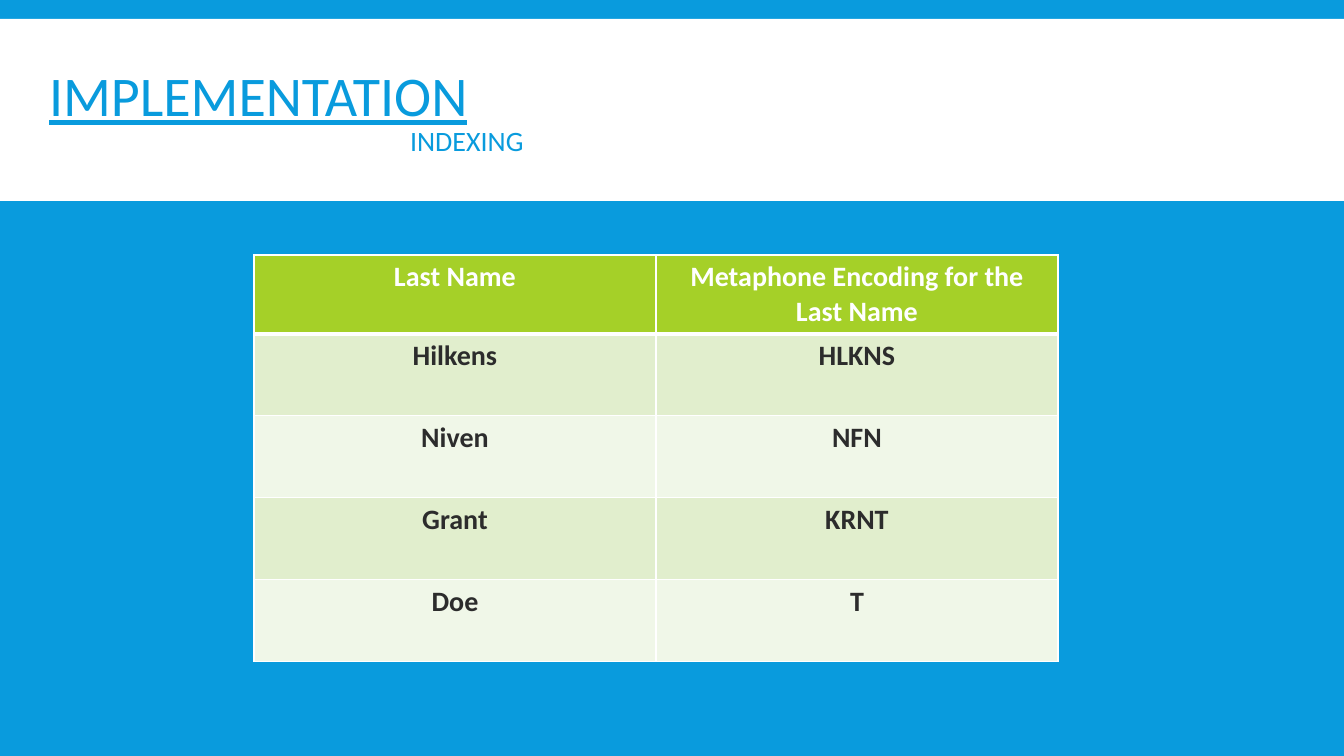
import pptx
import pptx.dml.color
import pptx.enum.shapes
import pptx.enum.text
import pptx.oxml
import pptx.oxml.ns
import pptx.util

EMU_PER_PX = 914400 / 100.8
BLUE, WHITE, GREEN, DARK = "099BDD", "FFFFFF", "A5D028", "2C2C2C"
BANDS = ("E1EECD", "F0F7E8")
ROWS = (
    ("Last Name", "Metaphone Encoding for the Last Name"),
    ("Hilkens", "HLKNS"),
    ("Niven", "NFN"),
    ("Grant", "KRNT"),
    ("Doe", "T"),
)


def px(length):
    """Turn pixels into EMU."""
    return pptx.util.Emu(round(length * EMU_PER_PX))


def color(value):
    """Turn a hex string into a colour."""
    return pptx.dml.color.RGBColor.from_string(value)


def paint(fill, value):
    """Give a fill one solid colour."""
    fill.solid()
    fill.fore_color.rgb = color(value)


def write(paragraph, text, size=20, ink=DARK, bold=False, underline=False,
          align=pptx.enum.text.PP_ALIGN.LEFT, spacing=1.0, indent=0):
    """Write one formatted run into a paragraph."""
    paragraph.alignment = align
    paragraph.line_spacing = spacing
    paragraph.space_before = paragraph.space_after = pptx.util.Pt(0)
    if indent:
        paragraph._p.get_or_add_pPr().set("marL", str(px(indent)))
    run = paragraph.add_run()
    run.text = text
    font = run.font
    font.name, font.size = "Calibri", pptx.util.Pt(size)
    font.bold, font.underline = bold, underline
    font.color.rgb = color(ink)


def add_band(slide, left, top, width, height):
    """Put a plain white band behind everything else."""
    band = slide.shapes.add_shape(pptx.enum.shapes.MSO_SHAPE.RECTANGLE,
                                  px(left), px(top), px(width), px(height))
    band.shadow.inherit = False
    paint(band.fill, WHITE)
    band.line.fill.background()
    slide.shapes._spTree.insert(2, band._element)


def format_title(title, left, top, width, height):
    """Place the title and write its heading and subheading."""
    title.left, title.top = px(left), px(top)
    title.width, title.height = px(width), px(height)
    frame = title.text_frame
    frame.word_wrap = True
    frame.auto_size = pptx.enum.text.MSO_AUTO_SIZE.NONE
    frame.vertical_anchor = pptx.enum.text.MSO_ANCHOR.MIDDLE
    write(frame.paragraphs[0], "IMPLEMENTATION", size=40, ink=BLUE,
          underline=True, spacing=0.85)
    write(frame.add_paragraph(), "INDEXING", ink=BLUE, spacing=0.85, indent=361)


def set_borders(cell, **widths):
    """Draw white cell borders with widths in points."""
    properties = cell._tc.get_or_add_tcPr()
    for position, side in enumerate("LRTB"):
        width = pptx.util.Pt(widths.get(side, 1))
        properties.insert(position, pptx.oxml.parse_xml(
            f'<a:ln{side} {pptx.oxml.ns.nsdecls("a")} w="{width}"><a:solidFill>'
            f'<a:srgbClr val="{WHITE}"/></a:solidFill></a:ln{side}>'))


def add_name_table(slide, left, top, column_width, header_height, row_height):
    """Add the table of names and their encodings."""
    body_count = len(ROWS) - 1
    table = slide.shapes.add_table(
        len(ROWS), len(ROWS[0]), px(left), px(top), px(column_width * len(ROWS[0])),
        px(header_height + row_height * body_count)).table
    for column in table.columns:
        column.width = px(column_width)
    for index, texts in enumerate(ROWS):
        header = index == 0
        table.rows[index].height = px(header_height if header else row_height)
        for cell, text in zip(table.rows[index].cells, texts):
            paint(cell.fill, GREEN if header else BANDS[(index - 1) % 2])
            set_borders(cell, T=3 if index == 1 else 1, B=3 if header else 1)
            write(cell.text_frame.paragraphs[0], text, bold=True,
                  ink=WHITE if header else DARK,
                  align=pptx.enum.text.PP_ALIGN.CENTER)


def main():
    """Build the slide and save it."""
    presentation = pptx.Presentation()
    presentation.slide_width, presentation.slide_height = px(1344), px(756)
    slide = presentation.slides.add_slide(presentation.slide_layouts[5])
    paint(slide.background.fill, BLUE)
    add_band(slide, 0, 19, 1344, 182)
    format_title(slide.shapes.title, 39, -73, 601, 374)
    add_name_table(slide, 254, 255, 402, 78, 82)
    presentation.save("out.pptx")


if __name__ == "__main__":
    main()
